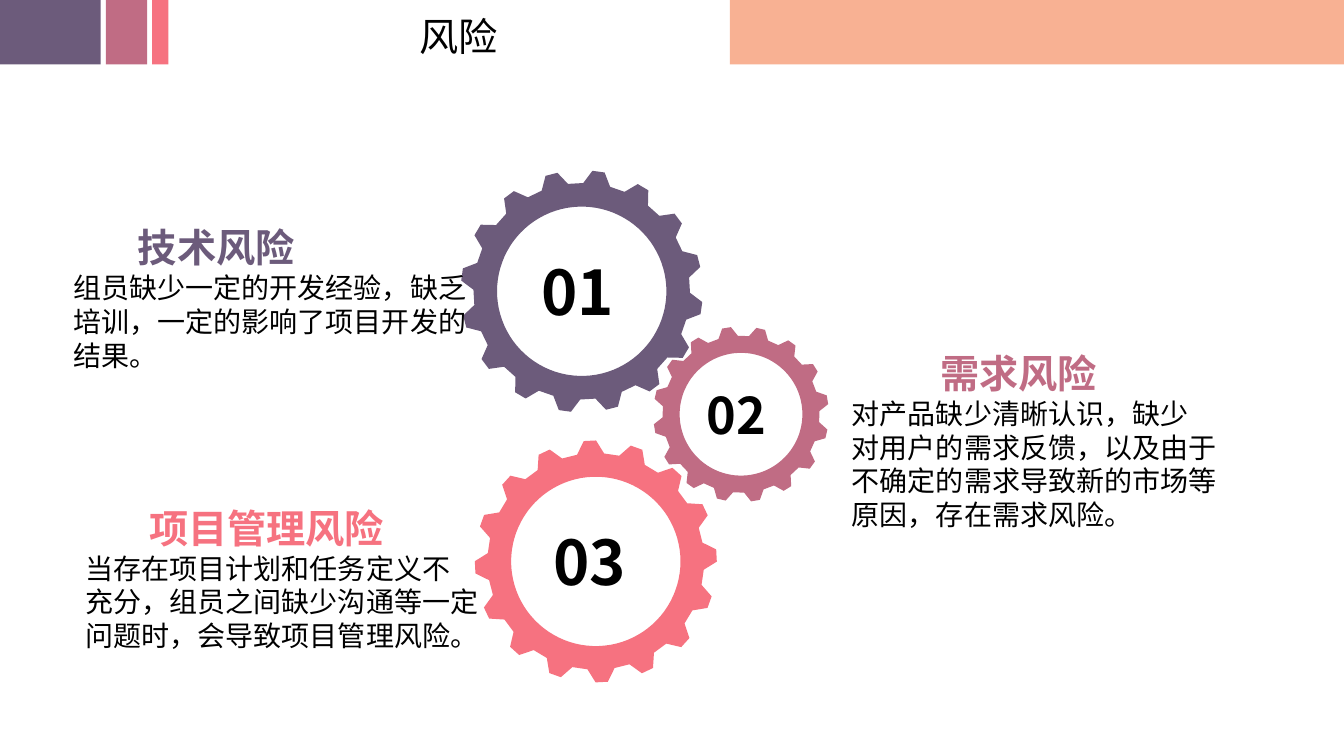
"""Builds the project risk slide with three interlocking gears."""
import math

from pptx import Presentation
from pptx.dml.color import RGBColor
from pptx.enum import shapes, text
from pptx.oxml import parse_xml
from pptx.oxml.ns import nsdecls
from pptx.util import Inches, Pt

FONT = "Noto Sans CJK SC"
PEACH = RGBColor(0xF8, 0xB1, 0x93)
PURPLE = RGBColor(0x6C, 0x5B, 0x7B)
MAUVE = RGBColor(0xC0, 0x6C, 0x84)
CORAL = RGBColor(0xF6, 0x72, 0x80)
BLACK = RGBColor(0, 0, 0)
TEETH = 16

BANNER = [(7.24, 6.09, PEACH), (0, 1, PURPLE), (1.05, 0.41, MAUVE), (1.51, 0.16, CORAL)]
GEARS = [
    (7.35, 4.11, 0.87, 13, MAUVE),
    (5.91, 5.57, 1.2, 19.7, CORAL),
    (5.77, 2.89, 1.2, 8, PURPLE),
]
NUMBERS = [("01", 5.27, 2.47, 44), ("02", 6.91, 3.76, 36), ("03", 5.39, 5.15, 44)]
RISKS = [
    (0.63, 2.17, 0.64, PURPLE, "技术风险",
     ["组员缺少一定的开发经验，缺乏", "培训，一定的影响了项目开发的", "结果。"]),
    (0.75, 4.95, 0.63, CORAL, "项目管理风险",
     ["当存在项目计划和任务定义不", "充分，组员之间缺少沟通等一定", "问题时，会导致项目管理风险。"]),
    (8.35, 3.42, 0.88, MAUVE, "需求风险",
     ["对产品缺少清晰认识，缺少", "对用户的需求反馈，以及由于", "不确定的需求导致新的市场等",
      "原因，存在需求风险。"]),
]


def paint(shape, color):
    shape.shadow.inherit = False
    shape.fill.solid()
    shape.fill.fore_color.rgb = color
    shape.line.fill.background()


def write(para, words, size, color=BLACK, bold=False, indent=0):
    para.text = words
    para.alignment = text.PP_ALIGN.LEFT
    para.font.size = Pt(size)
    para.font.bold = bold
    para.font.color.rgb = color
    para.font.name = FONT
    properties = para._p.get_or_add_pPr()
    properties.set("marL", str(Inches(indent)))
    properties.set("indent", "0")
    east_asian = parse_xml(f'<a:ea {nsdecls("a")} typeface="{FONT}"/>')
    properties.find("{*}defRPr").append(east_asian)


def add_bar(page, left, width, color):
    bar = page.shapes.add_shape(
        shapes.MSO_SHAPE.RECTANGLE, Inches(left), 0, Inches(width), Inches(0.64))
    paint(bar, color)


def add_title(page, words):
    title = page.shapes.title
    title.left, title.top = Inches(4.06), Inches(0.07)
    title.width, title.height = Inches(3), Inches(0.57)
    frame = title.text_frame
    frame.auto_size = text.MSO_AUTO_SIZE.NONE
    frame.vertical_anchor = text.MSO_ANCHOR.TOP
    write(frame.paragraphs[0], words, 28)


def add_gear(page, x, y, radius, phase, color):
    def point(share, degrees):
        angle = math.radians(degrees)
        return (Inches(x + share * radius * math.cos(angle)),
                Inches(y + share * radius * math.sin(angle)))

    profile = [(0.895, -7.2), (1, -2.9), (1, 2.9), (0.895, 7.2)]
    rim = [point(share, phase + tooth * 360 / TEETH + offset)
           for tooth in range(TEETH) for share, offset in profile]
    hole = [point(0.7, -step * 4) for step in range(90)]
    builder = page.shapes.build_freeform(*rim[0])
    builder.add_line_segments(rim[1:], close=True)
    builder.move_to(*hole[0])
    builder.add_line_segments(hole[1:], close=True)
    paint(builder.convert_to_shape(), color)


def add_text_frame(page, left, top, width, height):
    box = page.shapes.add_textbox(Inches(left), Inches(top), Inches(width), Inches(height))
    box.text_frame.word_wrap = True
    return box.text_frame


def add_number(page, words, left, top, size):
    frame = add_text_frame(page, left, top, 1, 0.84)
    write(frame.paragraphs[0], words, size, bold=True)


def add_risk(page, left, top, indent, color, heading, lines):
    frame = add_text_frame(page, left, top, 4.28, 0.57 + 0.34 * len(lines))
    write(frame.paragraphs[0], heading, 28, color, True, indent)
    for line in lines:
        write(frame.add_paragraph(), line, 20)


def main():
    deck = Presentation()
    deck.slide_width, deck.slide_height = Inches(13.33), Inches(7.5)
    page = deck.slides.add_slide(deck.slide_layouts[5])
    for bar in BANNER:
        add_bar(page, *bar)
    add_title(page, "风险")
    for gear in GEARS:
        add_gear(page, *gear)
    for number in NUMBERS:
        add_number(page, *number)
    for risk in RISKS:
        add_risk(page, *risk)
    deck.save("out.pptx")


if __name__ == "__main__":
    main()
